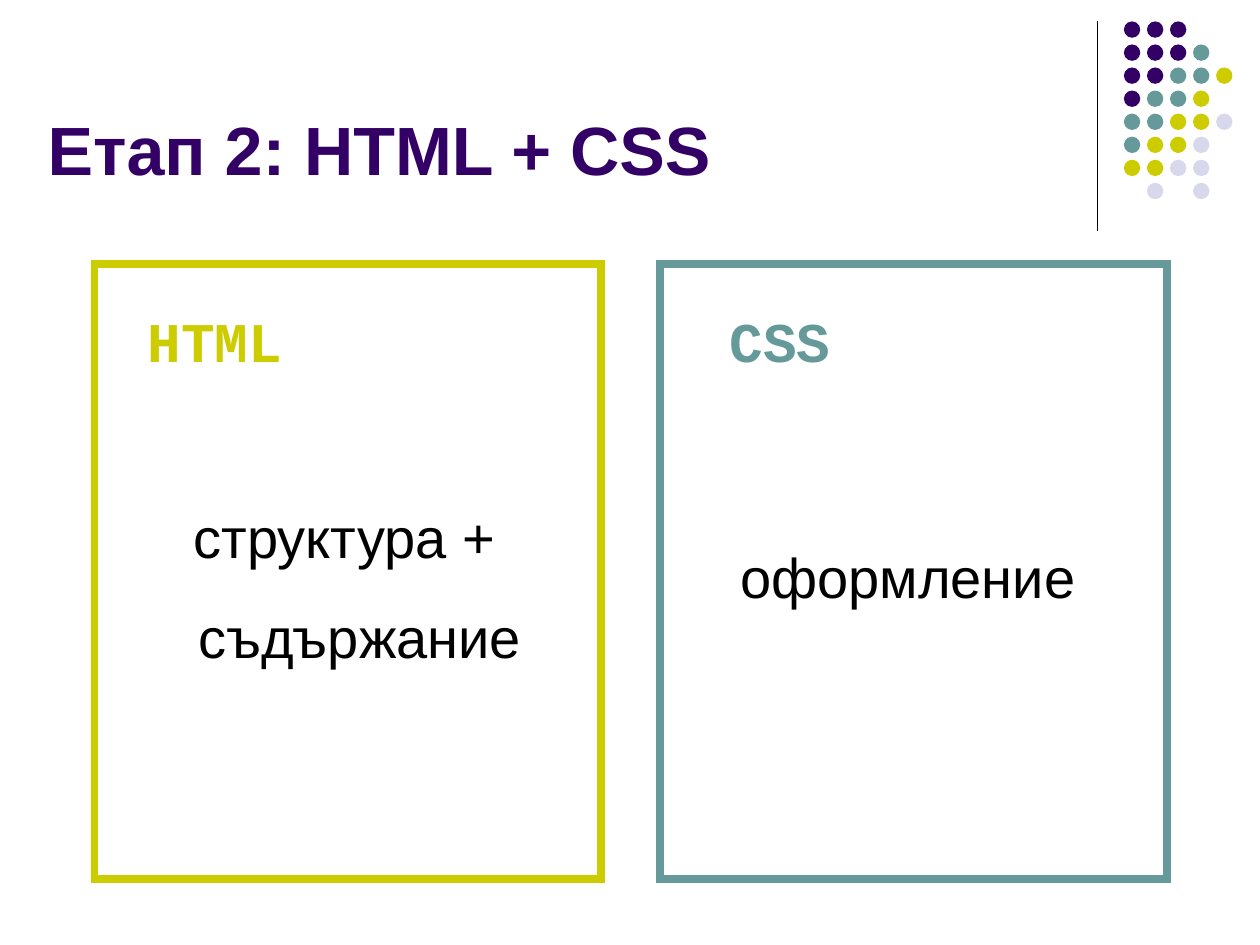
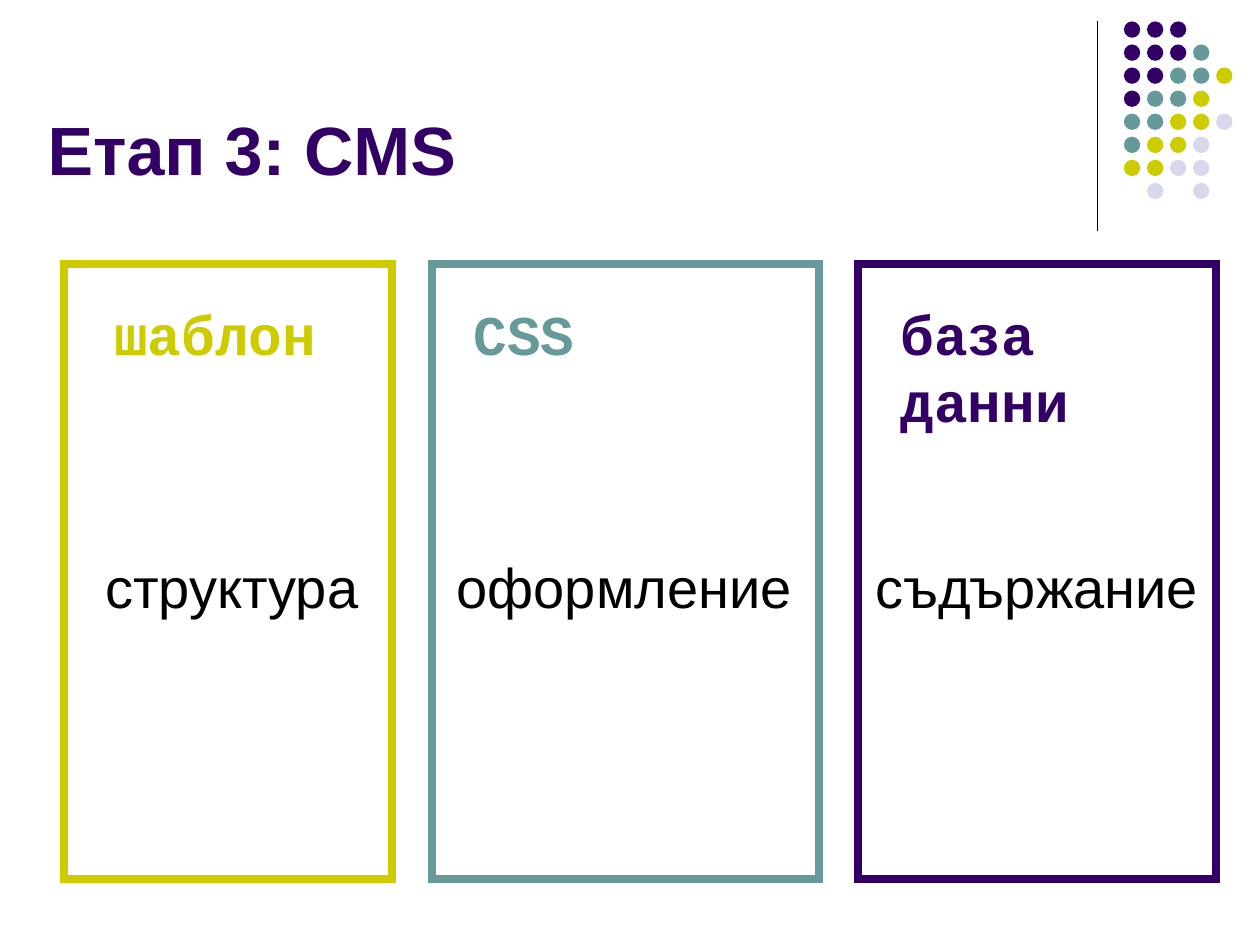
from dataclasses import dataclass

from lxml import etree
from pptx import Presentation
from pptx.dml.color import RGBColor as RGB
from pptx.enum.shapes import MSO_CONNECTOR as CONN, MSO_SHAPE as SHAPE
from pptx.enum.text import MSO_ANCHOR as ANCHOR, PP_ALIGN as ALIGN
from pptx.oxml.ns import qn
from pptx.util import Inches, Pt


@dataclass(frozen=True)
class Theme:
    purple: RGB = RGB(0x33, 0x00, 0x66)
    teal: RGB = RGB(0x66, 0x99, 0x99)
    lime: RGB = RGB(0xCC, 0xCC, 0x00)
    pale: RGB = RGB(0xD8, 0xD8, 0xEC)
    black: RGB = RGB(0x00, 0x00, 0x00)
    sans: str = "Arial"
    mono: str = "Courier New"
    title: int = 39
    text: int = 32
    frame: float = 4.5
    rule: float = 0.75


T = Theme()

prs = Presentation()
prs.slide_width, prs.slide_height = Inches(10), Inches(7.5)
CELL = prs.slide_width // 100  # the slide is a grid of 100 columns by 75 rows


def grid(*cells):
    return [round(n * CELL) for n in cells]


def add_text(slide, box, lines, font, size, color, bold=False,
             align=ALIGN.LEFT, spacing=1.0, anchor=ANCHOR.TOP, wrap=True):
    tf = slide.shapes.add_textbox(*grid(*box)).text_frame
    tf.word_wrap = wrap
    tf.vertical_anchor = anchor
    tf.margin_left, tf.margin_top, tf.margin_right, tf.margin_bottom = grid(1, 0.5, 1, 0.5)
    p = tf.paragraphs[0]
    p.alignment, p.line_spacing = align, spacing
    for i, line in enumerate(lines):
        if i:
            p.add_line_break()
        r = p.add_run()
        r.text = line
        r.font.name, r.font.size, r.font.bold = font, Pt(size), bold
        r.font.color.rgb = color


# Corner dots: one letter per colour, a dot for an empty place
DOTS = ["PPP..", "PPPT.", "PPTTL", "PTTL.", "TTLLW", "TLLW.", "LLWW.", ".W.W."]
DOT_COLORS = {"P": T.purple, "T": T.teal, "L": T.lime, "W": T.pale}
DOT_LEFT, DOT_TOP, DOT_STEP, DOT_SIZE = 89.2, 1.7, 1.83, 1.3

# Panels: left, width, heading box, heading, body box, body
PANEL_TOP, PANEL_HEIGHT = 20.95, 48.8
SLIDES = [
    ("Етап 2: HTML + CSS", ALIGN.CENTER, [
        (7.5, 40.2, (10.7, 23.8, 12.7, 6.4), ["HTML"],
         (11.4, 36.7, 33.1, 17), ["структура + ", " съдържание"]),
        (52.4, 40.2, (56.9, 23.8, 10, 6.4), ["CSS"],
         (55.5, 39.9, 33.1, 9), ["оформление"]),
    ]),
    ("Етап 3: CMS", ALIGN.LEFT, [
        (5.1, 26, (8.1, 23.3, 18, 6.4), ["шаблон"],
         (5.1, 40.7, 26.6, 9), ["структура"]),
        (34.3, 30.7, (36.6, 23.3, 10, 6.4), ["CSS"],
         (35, 40.7, 29.1, 9), ["оформление"]),
        (68.1, 28.4, (70.5, 23.3, 18, 11.7), ["база", "данни"],
         (68.1, 40.7, 28.4, 9), ["съдържание"]),
    ]),
]

for title, heading_align, panels in SLIDES:
    s = prs.slides.add_slide(prs.slide_layouts[6])

    # Vertical rule and corner dots
    rule = s.shapes.add_connector(CONN.STRAIGHT, *grid(87.1, 1.7, 87.1, 18.3))
    rule.line.color.rgb, rule.line.width = T.black, Pt(T.rule)
    etree.SubElement(rule._element.spPr, qn("a:effectLst"))
    dots = s.shapes.add_group_shape()
    for row, marks in enumerate(DOTS):
        for col, mark in enumerate(marks):
            if mark == ".":
                continue
            sp = dots.shapes.add_shape(SHAPE.OVAL, *grid(
                DOT_LEFT + col * DOT_STEP, DOT_TOP + row * DOT_STEP, DOT_SIZE, DOT_SIZE))
            sp.shadow.inherit = False
            sp.fill.solid()
            sp.fill.fore_color.rgb = DOT_COLORS[mark]
            sp.line.fill.background()

    # Title
    add_text(s, (2.8, 1.3, 79.8, 14.2), [title], T.sans, T.title, T.purple,
             bold=True, anchor=ANCHOR.BOTTOM)

    # Framed panels with square corners, a heading and a body
    for panel, color in zip(panels, (T.lime, T.teal, T.purple)):
        left, width, heading_box, heading, body_box, body = panel
        sp = s.shapes.add_shape(SHAPE.RECTANGLE, *grid(left, PANEL_TOP, width, PANEL_HEIGHT))
        sp.shadow.inherit = False
        sp.fill.background()
        sp.line.color.rgb, sp.line.width = color, Pt(T.frame)
        ln = sp._element.spPr.find(qn("a:ln"))
        etree.SubElement(ln, qn("a:miter")).set("lim", "800000")
        add_text(s, heading_box, heading, T.mono, T.text, color, bold=True,
                 align=heading_align, wrap=False)
        add_text(s, body_box, body, T.sans, T.text, T.black,
                 align=ALIGN.CENTER, spacing=1.5)

prs.save("out.pptx")
